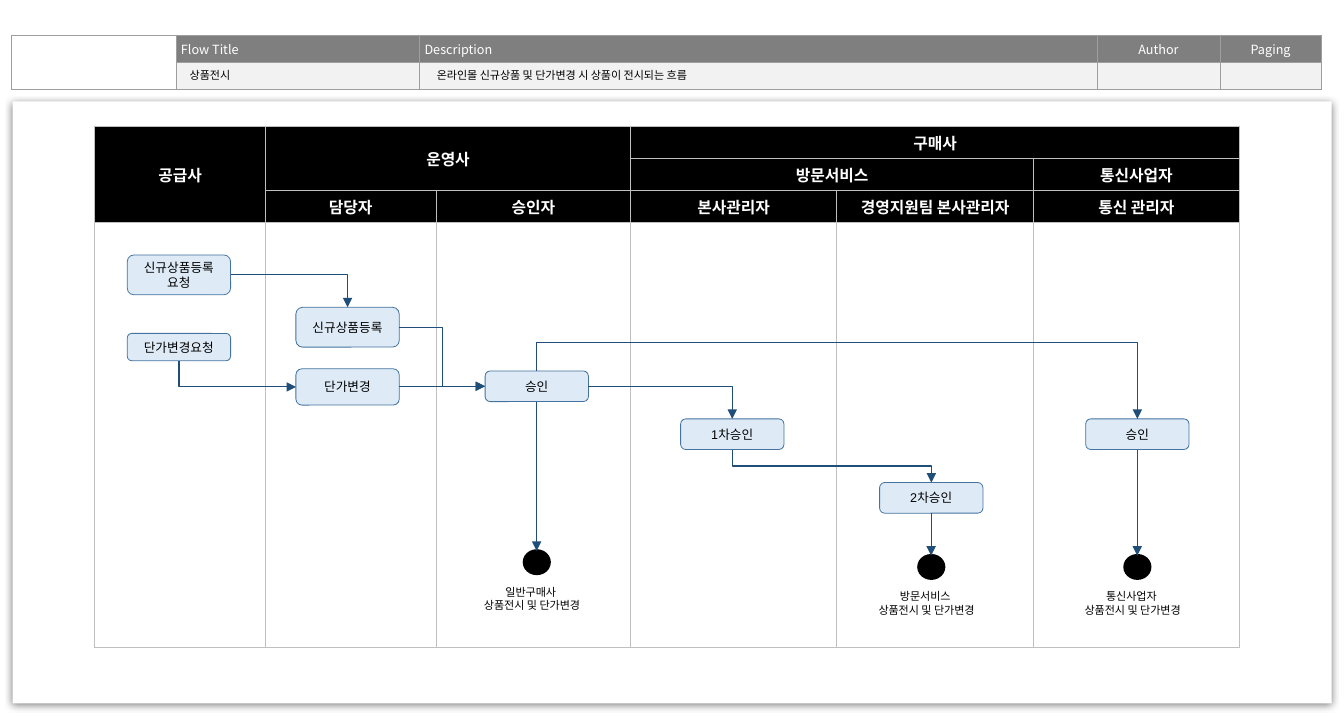
"""Build the swimlane slide for the product display flow."""
from dataclasses import dataclass

from lxml import etree
from pptx import Presentation
from pptx.dml.color import RGBColor
from pptx.enum.shapes import MSO_CONNECTOR, MSO_SHAPE
from pptx.enum.text import MSO_ANCHOR, PP_ALIGN
from pptx.oxml.ns import qn
from pptx.util import Pt

ELBOW = MSO_CONNECTOR.ELBOW
ROUNDED, OVAL = MSO_SHAPE.ROUNDED_RECTANGLE, MSO_SHAPE.OVAL
LEFT, CENTER = PP_ALIGN.LEFT, PP_ALIGN.CENTER
TOP, MIDDLE = MSO_ANCHOR.TOP, MSO_ANCHOR.MIDDLE

BLACK = RGBColor(0x00, 0x00, 0x00)
WHITE = RGBColor(0xFF, 0xFF, 0xFF)
GRAY = RGBColor(0x7F, 0x7F, 0x7F)
PALE = RGBColor(0xF2, 0xF2, 0xF2)
TITLE_RULE = RGBColor(0x9E, 0x9E, 0x9E)
LANE_RULE = RGBColor(0xBF, 0xBF, 0xBF)
STEP_FILL = RGBColor(0xDE, 0xEB, 0xF7)
STEP_LINE = RGBColor(0x43, 0x73, 0x9E)
FLOW_LINE = RGBColor(0x1F, 0x4E, 0x79)

KOREAN = "Noto Sans CJK KR"
TITLE_FONT = {"name": KOREAN, "size": Pt(8)}
LANE_FONT = {"name": "Arial", "size": Pt(10), "bold": True}
STEP_FONT = {"name": "Arial", "size": Pt(8)}
NOTE_FONT = {"name": "Arial", "size": Pt(7)}

SUPPLIER, MANAGER, APPROVER, HQ, SUPPORT, NETWORK = 113.2, 219.9, 339.6, 463.3, 589.2, 719.6
STEP_W, END_W, END_H = 65.4, 15.8, 14.4
NOTE_W, NOTE_H, NOTE_DROP = 84.2, 24.5, 18.2


@dataclass
class Node:
    """A step or an end point, placed by its centre."""
    text: str
    x: float
    y: float
    w: float
    h: float


@dataclass
class Flow:
    """An arrow whose route lists horizontal and vertical legs."""
    start: str
    end: str
    route: str
    from_top: bool = False
    bend: int = 50000


@dataclass
class Grid:
    """A table with its place, its sizes and its rule."""
    x: float
    y: float
    cols: list[float]
    rows: list[float]
    rule: RGBColor
    rule_w: float


STEPS = {
    "new request": Node("신규상품등록요청", SUPPLIER, 173.9, STEP_W, 25.2),
    "price request": Node("단가변경요청", SUPPLIER, 219.6, STEP_W, 17.3),
    "new product": Node("신규상품등록", MANAGER, 207, STEP_W, 25.2),
    "price": Node("단가변경", MANAGER, 244.8, STEP_W, 23),
    "approval": Node("승인", APPROVER, 244.4, STEP_W, 19.4),
    "first": Node("1차승인", HQ, 274.7, STEP_W, 19.4),
    "second": Node("2차승인", SUPPORT, 315, STEP_W, 19.4),
    "network": Node("승인", NETWORK, 274.7, STEP_W, 19.4),
}
ENDS = {
    "general end": Node("일반구매사 \n상품전시 및 단가변경", APPROVER, 355.7, END_W, END_H),
    "support end": Node("방문서비스 \n상품전시 및 단가변경", SUPPORT, 358.7, END_W, END_H),
    "network end": Node("통신사업자 \n상품전시 및 단가변경", NETWORK, 358.7, END_W, END_H),
}
FLOWS = [
    Flow("new request", "new product", "HV"),
    Flow("price request", "price", "VH"),
    Flow("new product", "approval", "HVH"),
    Flow("price", "approval", "HVH"),
    Flow("approval", "first", "HV"),
    Flow("approval", "network", "VHV", True, -59800),
    Flow("approval", "general end", "VHV"),
    Flow("first", "second", "VHV"),
    Flow("second", "support end", "VHV"),
    Flow("network", "network end", "VHV"),
]
TITLE_GRID = Grid(7.2, 22.2, [104.4, 154.1, 428.4, 77.8, 64.1], [17.3] * 2, TITLE_RULE, 0.75)
TITLES = [("Flow Title", LEFT), ("Description", LEFT), ("Author", CENTER), ("Paging", CENTER)]
LANE_GRID = Grid(59.9, 80, [108, 108, 123.1, 130.3, 124.6, 130.3], [20.2] * 3 + [269.3],
                 LANE_RULE, 0.5)
LANES = [
    (0, 0, 3, 1, "공급사"), (0, 1, 2, 2, "운영사"), (0, 3, 1, 3, "구매사"),
    (1, 3, 1, 2, "방문서비스"), (1, 5, 1, 1, "통신사업자"),
    (2, 1, 1, 1, "담당자"), (2, 2, 1, 1, "승인자"), (2, 3, 1, 1, "본사관리자"),
    (2, 4, 1, 1, "경영지원팀 본사관리자"), (2, 5, 1, 1, "통신 관리자"),
]


def write(tf, text: str, font: dict, color: RGBColor, align=CENTER) -> None:
    tf.text = text
    tf.word_wrap = True
    for p in tf.paragraphs:
        p.alignment = align
        for r in p.runs:
            for key, value in font.items():
                setattr(r.font, key, value)
            r.font.color.rgb = color
            etree.SubElement(r.font._element, qn("a:ea"), typeface=KOREAN)


def add_grid(s, grid: Grid):
    table = s.shapes.add_table(len(grid.rows), len(grid.cols), Pt(grid.x), Pt(grid.y),
                               Pt(sum(grid.cols)), Pt(sum(grid.rows))).table
    table.first_row = table.horz_banding = False
    for col, width in zip(table.columns, grid.cols):
        col.width = Pt(width)
    for row, height in zip(table.rows, grid.rows):
        row.height = Pt(height)
    for cell in table.iter_cells():
        cell.fill.background()
        cell.vertical_anchor = MIDDLE
        cell.margin_top = cell.margin_bottom = 0
        end = etree.SubElement(cell.text_frame.paragraphs[0]._p, qn("a:endParaRPr"))
        end.set("sz", "800")
        for i, side in enumerate("LRTB"):
            ln = etree.Element(qn(f"a:ln{side}"), w=str(Pt(grid.rule_w)))
            fill = etree.SubElement(ln, qn("a:solidFill"))
            etree.SubElement(fill, qn("a:srgbClr"), val=str(grid.rule))
            cell._tc.get_or_add_tcPr().insert(i, ln)
    return table


def paint(cell, color: RGBColor) -> None:
    cell.fill.solid()
    cell.fill.fore_color.rgb = color


def add_box(s, kind, node: Node, fill: RGBColor, line: RGBColor, line_w: float):
    sp = s.shapes.add_shape(kind, Pt(node.x - node.w / 2), Pt(node.y - node.h / 2),
                            Pt(node.w), Pt(node.h))
    sp.shadow.inherit = False
    paint(sp, fill)
    sp.line.color.rgb = line
    sp.line.width = Pt(line_w)
    return sp


def add_panel(s) -> None:
    sp = add_box(s, ROUNDED, Node("", 425.2, 254.5, 834.5, 380.9), WHITE, WHITE, 0.75)
    sp.line.fill.background()
    sp.adjustments[0] = 0
    effects = sp._element.spPr.find(qn("a:effectLst"))
    shadow = etree.SubElement(effects, qn("a:outerShdw"), blurRad=str(Pt(4.5)),
                              dist=str(Pt(1.5)), dir="5400000", algn="t", rotWithShape="0")
    color = etree.SubElement(shadow, qn("a:srgbClr"), val=str(BLACK))
    etree.SubElement(color, qn("a:alpha"), val="49000")


def add_label(s, x: float, y: float, w: float, h: float, text: str, align) -> None:
    tf = s.shapes.add_textbox(Pt(x), Pt(y), Pt(w), Pt(h)).text_frame
    tf.vertical_anchor = TOP
    write(tf, text, NOTE_FONT, BLACK, align)


def add_flow(s, flow: Flow, nodes: dict[str, Node]) -> None:
    a, b = nodes[flow.start], nodes[flow.end]
    down = flow.route[0] == "V"
    x1, y1 = (a.x, a.y + a.h / 2) if down else (a.x + a.w / 2, a.y)
    if flow.from_top:
        y1 = a.y - a.h / 2
    x2, y2 = (b.x, b.y - b.h / 2) if flow.route[-1] == "V" else (b.x - b.w / 2, b.y)
    if down:
        cx, cy, dx, dy = (x1 + x2) / 2, (y1 + y2) / 2, (x2 - x1) / 2, (y2 - y1) / 2
        x1, y1, x2, y2 = cx + dy, cy - dx, cx - dy, cy + dx
    cn = s.shapes.add_connector(ELBOW, Pt(x1), Pt(y1), Pt(x2), Pt(y2))
    cn.line.color.rgb = FLOW_LINE
    cn.line.width = Pt(0.75)
    pr = cn._element.spPr
    if down:
        pr.find(qn("a:xfrm")).set("rot", "16200000")
    geom = pr.find(qn("a:prstGeom"))
    geom.set("prst", f"bentConnector{len(flow.route)}")
    if len(flow.route) == 3:
        etree.SubElement(geom.find(qn("a:avLst")), qn("a:gd"), name="adj1",
                         fmla=f"val {flow.bend}")
    etree.SubElement(pr.find(qn("a:ln")), qn("a:tailEnd"), type="triangle")
    etree.SubElement(pr, qn("a:effectLst"))


def main() -> None:
    prs = Presentation()
    prs.slide_width, prs.slide_height = Pt(850.3), Pt(453.6)
    s = prs.slides.add_slide(prs.slide_layouts[6])

    table = add_grid(s, TITLE_GRID)
    table.cell(0, 0).merge(table.cell(1, 0))
    for i, (text, align) in enumerate(TITLES, 1):
        cell = table.cell(0, i)
        cell.margin_left = cell.margin_right = Pt(2.9)
        write(cell.text_frame, text, TITLE_FONT, WHITE, align)
        paint(cell, GRAY)
        paint(table.cell(1, i), PALE)
    add_panel(s)
    add_label(s, 269.3, 39.6, 421.2, 15.8, "온라인몰 신규상품 및 단가변경 시 상품이 전시되는 흐름", LEFT)
    add_label(s, 113, 39.6, 148.3, 15.8, "상품전시", LEFT)

    table = add_grid(s, LANE_GRID)
    for row, col, down, across, text in LANES:
        cell = table.cell(row, col)
        if down * across > 1:
            cell.merge(table.cell(row + down - 1, col + across - 1))
        write(cell.text_frame, text, LANE_FONT, WHITE)
        paint(cell, BLACK)

    for node in STEPS.values():
        sp = add_box(s, ROUNDED, node, STEP_FILL, STEP_LINE, 0.5)
        sp.text_frame.vertical_anchor = MIDDLE
        write(sp.text_frame, node.text, STEP_FONT, BLACK)
    for node in ENDS.values():
        add_box(s, OVAL, node, BLACK, BLACK, 2)
        add_label(s, node.x - NOTE_W / 2 - 3, node.y - node.h / 2 + NOTE_DROP,
                  NOTE_W, NOTE_H, node.text, CENTER)
    for flow in FLOWS:
        add_flow(s, flow, STEPS | ENDS)
    prs.save("out.pptx")


if __name__ == "__main__":
    main()
